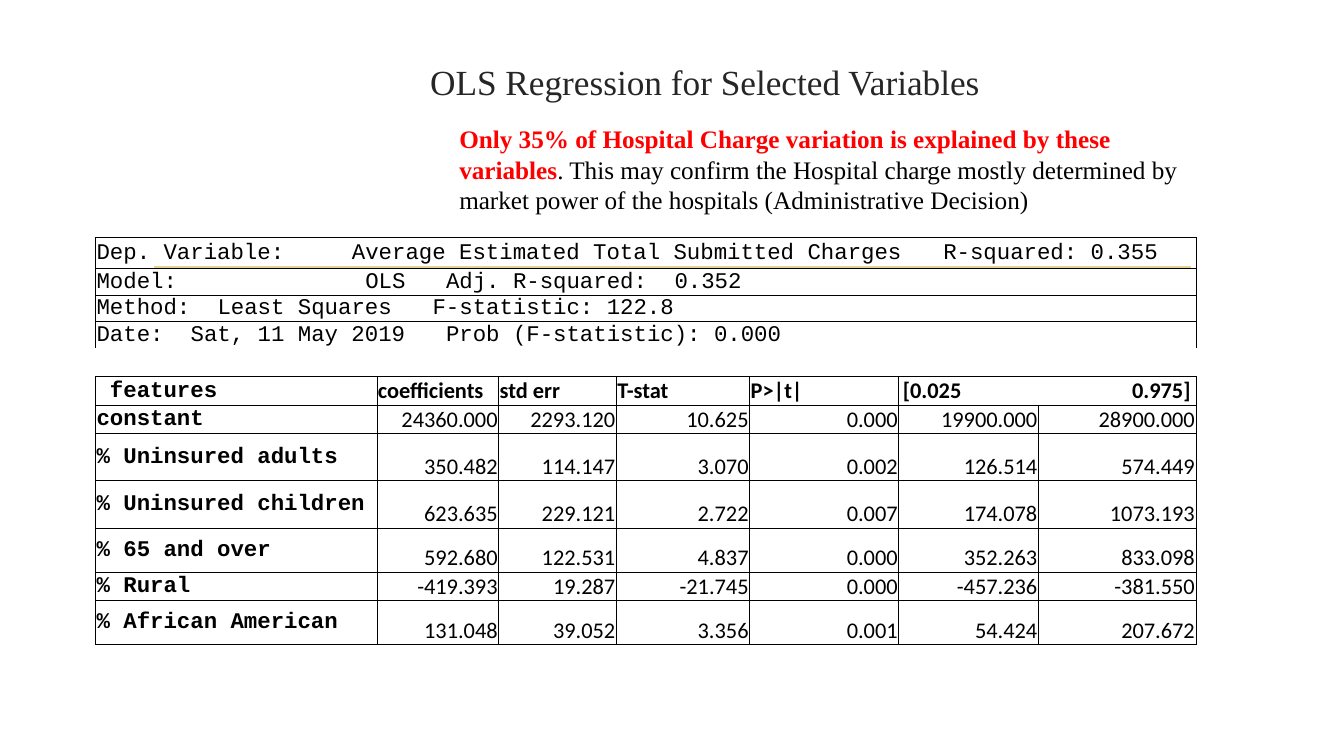
from lxml.etree import SubElement
from pptx import Presentation
from pptx.dml.color import RGBColor
from pptx.enum.shapes import MSO_CONNECTOR
from pptx.enum.text import MSO_ANCHOR, MSO_AUTO_SIZE, PP_ALIGN
from pptx.oxml.ns import qn
from pptx.util import Pt

EMU_PER_PX = 9525
BLACK = RGBColor(0x00, 0x00, 0x00)
CHARCOAL = RGBColor(0x26, 0x26, 0x26)
RED = RGBColor(0xFF, 0x00, 0x00)
GOLD = RGBColor(0xE8, 0xD1, 0x91)
SERIF, MONO, SANS = "Times New Roman", "Courier New", "Calibri"
MONO_CHAR = Pt(9.6)  # one Courier New character at 16 pt

COLUMN_WIDTHS = [268, 116, 112, 127, 142, 133, 150]
ROW_HEIGHTS = [30, 25, 25, 25, 27, 27, 27, 45, 45, 42, 27, 42]
GAP_ROW = 4
HEADER_ROW = 5

# Each summary line with the character columns of its tab stops
SUMMARY = [
    ("Dep. Variable:\tAverage Estimated Total Submitted Charges\tR-squared: 0.355", [19, 63]),
    ("Model:\tOLS\tAdj. R-squared:\t0.352", [20, 26, 43]),
    ("Method:\tLeast Squares\tF-statistic: 122.8", [9, 25]),
    ("Date:\tSat, 11 May 2019\tProb (F-statistic): 0.000", [7, 26]),
]
HEADERS = [" features", "coefficients", "std err", "T-stat", "P>|t|", "[0.025\t0.975]"]
COEFFICIENTS = [
    ("constant", "24360.000", "2293.120", "10.625", "0.000", "19900.000", "28900.000"),
    ("% Uninsured adults", "350.482", "114.147", "3.070", "0.002", "126.514", "574.449"),
    ("% Uninsured children", "623.635", "229.121", "2.722", "0.007", "174.078", "1073.193"),
    ("% 65 and over", "592.680", "122.531", "4.837", "0.000", "352.263", "833.098"),
    ("% Rural", "-419.393", "19.287", "-21.745", "0.000", "-457.236", "-381.550"),
    ("% African American", "131.048", "39.052", "3.356", "0.001", "54.424", "207.672"),
]


def px(value):
    return value * EMU_PER_PX


def format_run(run, font, size, color, bold=False):
    run.font.name = font
    run.font.size = Pt(size)
    run.font.color.rgb = color
    run.font.bold = bold


def set_tabs(paragraph, positions, align="l"):
    tabs = SubElement(paragraph._p.get_or_add_pPr(), qn("a:tabLst"))
    for position in positions:
        SubElement(tabs, qn("a:tab"), pos=str(int(position)), algn=align)


def set_borders(cell, visible):
    properties = cell._tc.get_or_add_tcPr()
    for side in "LRTB":
        line = SubElement(properties, qn(f"a:ln{side}"), w=str(Pt(0.5)))
        if side in visible:
            fill = SubElement(line, qn("a:solidFill"))
            SubElement(fill, qn("a:srgbClr"), val=str(BLACK))
        else:
            SubElement(line, qn("a:noFill"))


def fill_cell(cell, text, font, bold=False, align=PP_ALIGN.LEFT):
    cell.vertical_anchor = MSO_ANCHOR.MIDDLE if font == MONO else MSO_ANCHOR.BOTTOM
    paragraph = cell.text_frame.paragraphs[0]
    paragraph.text = text
    paragraph.alignment = align
    for run in paragraph.runs:
        format_run(run, font, 16, BLACK, bold)
    return paragraph


def add_title(slide, text):
    title = slide.shapes.title
    title.left, title.top, title.width, title.height = px(139), px(53), px(1065), px(50)
    frame = title.text_frame
    frame.text = text
    frame.auto_size = MSO_AUTO_SIZE.NONE
    frame.vertical_anchor = MSO_ANCHOR.MIDDLE
    frame.paragraphs[0].alignment = PP_ALIGN.CENTER
    format_run(frame.paragraphs[0].runs[0], SERIF, 25.2, CHARCOAL)


def add_rule(slide):
    rule = slide.shapes.add_connector(
        MSO_CONNECTOR.STRAIGHT, px(147), px(254), px(1134), px(254))
    rule.line.color.rgb = GOLD
    rule.line.width = Pt(1.25)
    SubElement(rule._element.spPr, qn("a:effectLst"))


def add_grid(slide):
    frame = slide.shapes.add_table(
        len(ROW_HEIGHTS), len(COLUMN_WIDTHS), px(91), px(226),
        px(sum(COLUMN_WIDTHS)), px(sum(ROW_HEIGHTS)))
    grid = frame.table
    grid.first_row = grid.horz_banding = False
    for column, width in zip(grid.columns, COLUMN_WIDTHS):
        column.width = px(width)
    for index, (row, height) in enumerate(zip(grid.rows, ROW_HEIGHTS)):
        row.height = px(height)
        visible = {GAP_ROW - 1: "LRT", GAP_ROW: "B"}.get(index, "LRTB")
        for cell in row.cells:
            cell.margin_left = cell.margin_right = cell.margin_top = px(1)
            cell.margin_bottom = 0
            set_borders(cell, visible)
            cell.fill.background()
    return grid


def add_regression_table(slide):
    grid = add_grid(slide)
    last = len(COLUMN_WIDTHS) - 1

    # Model summary
    for row, (text, stops) in enumerate(SUMMARY):
        grid.cell(row, 0).merge(grid.cell(row, last))
        paragraph = fill_cell(grid.cell(row, 0), text, MONO)
        set_tabs(paragraph, [stop * MONO_CHAR for stop in stops])

    # Empty row between summary and coefficients
    for cell in grid.rows[GAP_ROW].cells:
        SubElement(cell.text_frame.paragraphs[0]._p, qn("a:endParaRPr"), sz="1600")

    # Column headings, the last one spanning both interval bounds
    interval = grid.cell(HEADER_ROW, last - 1)
    interval.merge(grid.cell(HEADER_ROW, last))
    interval.margin_left = px(4)
    for column, heading in enumerate(HEADERS):
        paragraph = fill_cell(
            grid.cell(HEADER_ROW, column), heading, SANS if column else MONO, bold=True)
    set_tabs(paragraph, [px(274)], align="r")

    # Coefficients
    for row, (feature, *values) in enumerate(COEFFICIENTS, HEADER_ROW + 1):
        fill_cell(grid.cell(row, 0), feature, MONO, bold=True)
        for column, value in enumerate(values, 1):
            fill_cell(grid.cell(row, column), value, SANS, align=PP_ALIGN.RIGHT)


def add_finding(slide, emphasis, remark):
    finding = slide.shapes.add_textbox(px(428), px(113), px(712), px(97))
    frame = finding.text_frame
    frame.word_wrap = True
    frame.auto_size = MSO_AUTO_SIZE.SHAPE_TO_FIT_TEXT
    paragraph = frame.paragraphs[0]
    paragraph.text = emphasis
    format_run(paragraph.runs[0], SERIF, 18, RED, bold=True)
    remark_run = paragraph.add_run()
    remark_run.text = remark
    format_run(remark_run, SERIF, 18, BLACK)


def main():
    presentation = Presentation()
    presentation.slide_width, presentation.slide_height = px(1280), px(720)
    slide = presentation.slides.add_slide(presentation.slide_layouts[5])
    add_title(slide, "OLS Regression for Selected Variables")
    add_rule(slide)
    add_regression_table(slide)
    add_finding(
        slide,
        "Only 35% of Hospital Charge variation is explained by these variables",
        ". This may confirm the Hospital charge mostly determined by market power "
        "of the hospitals (Administrative Decision)")
    presentation.save("out.pptx")


if __name__ == "__main__":
    main()
